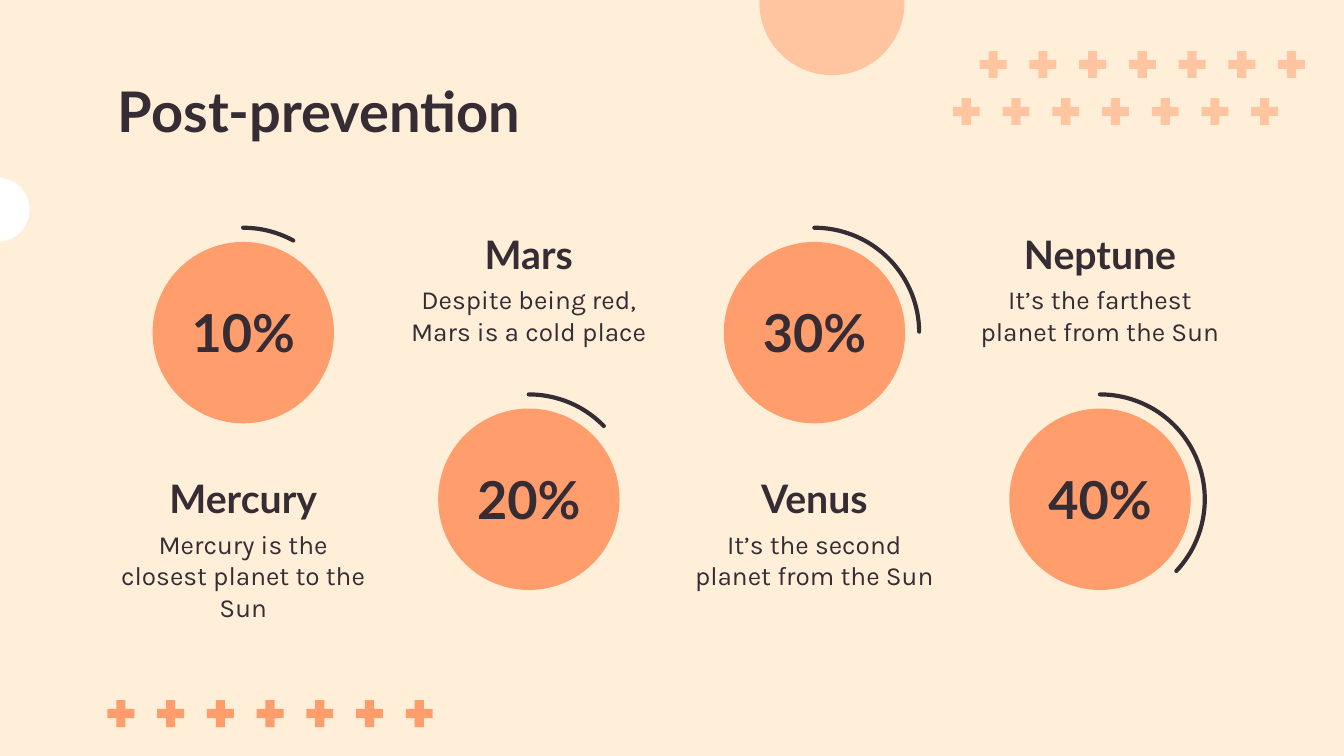
"""Build the Post-prevention slide: four planets with share rings on a two-row grid."""
from lxml.etree import SubElement as Sub
from pptx import Presentation as Deck
from pptx.dml.color import RGBColor as Rgb
from pptx.enum.shapes import MSO_SHAPE as Kind
from pptx.enum.text import MSO_ANCHOR as Anchor, PP_ALIGN as Align
from pptx.oxml.ns import qn
from pptx.util import Inches, Pt

DARK, CORAL, CREAM, WHITE = "362C34", "FF9D6C", "FFEFD9", "FFFFFF"

deck = Deck()
deck.slide_width, deck.slide_height = Inches(10), Inches(5.625)
slide = deck.slides.add_slide(deck.slide_layouts[6])


def paint(fill, tone):
    fill.solid()
    fill.fore_color.rgb = Rgb.from_string(tone)


def write(text, box, size, face="Lato", side=Align.CENTER, anchor=Anchor.TOP):
    frame = slide.shapes.add_textbox(*map(Inches, box)).text_frame
    pad = Inches(0.1)
    form = {"word_wrap": True, "vertical_anchor": anchor, "margin_left": pad,
            "margin_right": pad, "margin_top": pad, "margin_bottom": pad}
    for key, val in form.items():
        setattr(frame, key, val)
    line = frame.paragraphs[0]
    line.alignment = side
    run = line.add_run()
    run.text = text
    for key, val in {"name": face, "size": Pt(size), "bold": face == "Lato"}.items():
        setattr(run.font, key, val)
    paint(run.font.fill, DARK)


paint(slide.background.fill, CREAM)

left, step, wide = 0.79, 2.125, 2.04
disc, ring = 1.35, 1.56
plus, pitch = 0.2, 0.37
cards = [
    ("10%", "Mercury", "Mercury is the closest planet to the Sun", 28.6),
    ("20%", "Mars", "Despite being red, Mars is a cold place", 45.7),
    ("30%", "Venus", "It’s the second planet from the Sun", 89.5),
    ("40%", "Neptune", "It’s the farthest planet from the Sun", 133.2),
]
rows = [(1.8, 3.43), (3.04, 1.61)]

marks = [(Kind.CROSS, (x + n * pitch, y, plus, plus), CORAL, alpha)
         for x, y, alpha in [(7.09, 0.73, 51), (7.29, 0.38, 51), (0.8, 5.21, 100)]
         for n in range(7)]
marks += [(Kind.OVAL, (5.65, -0.52, 1.08, 1.08), CORAL, 51),
          (Kind.OVAL, (-0.26, 1.32, 0.48, 0.48), WHITE, 100)]
for n in range(len(cards)):
    x = left + n * step + (wide - disc) / 2
    marks.append((Kind.OVAL, (x, rows[n % 2][0], disc, disc), CORAL, 100))

for kind, box, tone, alpha in marks:
    mark = slide.shapes.add_shape(kind, *map(Inches, box))
    mark.shadow.inherit = False
    mark.line.fill.background()
    paint(mark.fill, tone)
    if kind == Kind.CROSS:
        mark.adjustments[0] = 0.33
    if alpha < 100:
        node = mark.fill._xPr.find(".//" + qn("a:srgbClr"))
        Sub(node, qn("a:alpha"), val=str(alpha * 1000))

write("Post-prevention", (0.78, 0.47, 8.44, 0.51), 30, side=Align.LEFT)

for n, (share, name, note, sweep) in enumerate(cards):
    x = left + n * step
    top, head = rows[n % 2]
    edge = (ring - disc) / 2
    arc = slide.shapes.add_shape(Kind.ARC, *map(Inches, (
        x + (wide - ring) / 2, top - edge, ring, ring)))
    arc.shadow.inherit = False
    arc.fill.background()
    arc.line.width = Pt(2.25)
    paint(arc.line.fill, DARK)
    arc._element.spPr.find(qn("a:ln")).set("cap", "rnd")
    arc.adjustments[0] = 270 * 0.6
    arc.adjustments[1] = (270 + sweep) % 360 * 0.6
    write(share, (x + (wide - disc) / 2, top + 0.41, disc, 0.52), 28, anchor=Anchor.MIDDLE)
    write(name, (x, head, wide, 0.42), 21)
    write(note, (x, head + 0.4, wide, 0.67), 14, "Karla")

deck.save("out.pptx")
